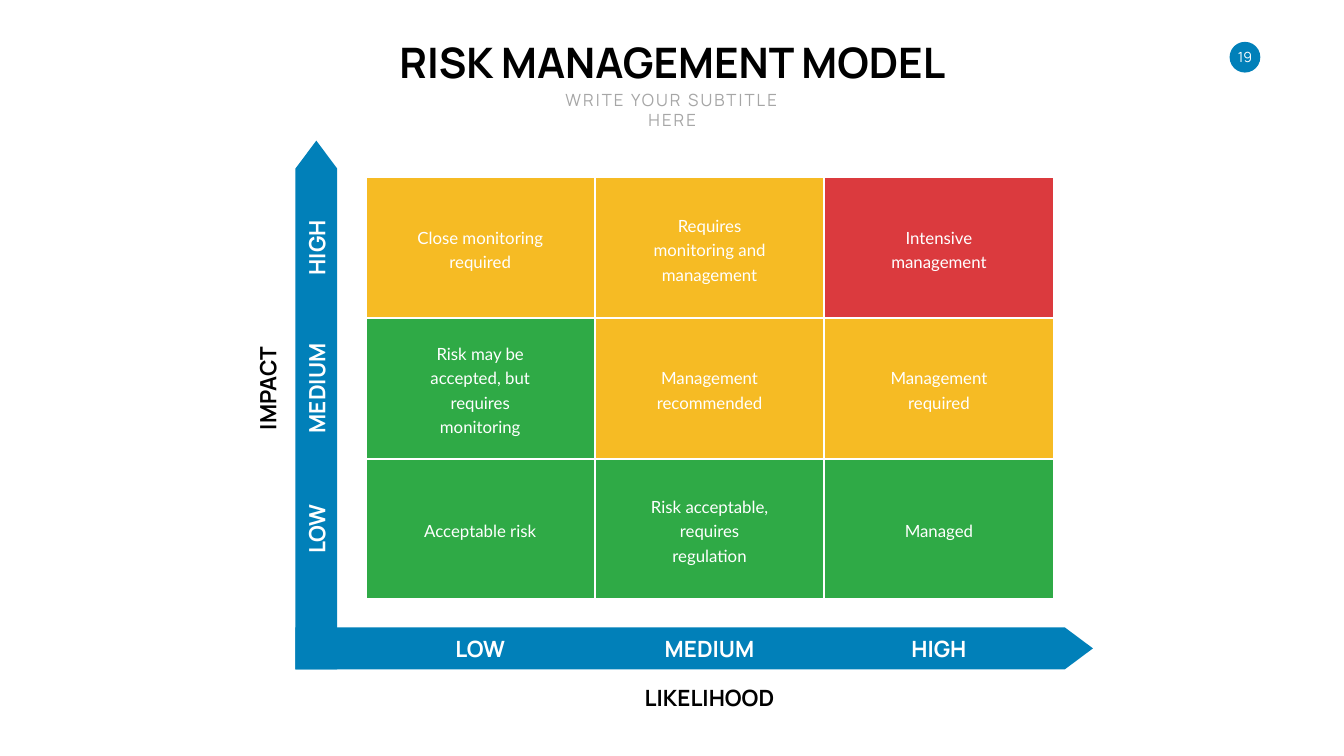
from pptx import Presentation
from pptx import util as u
from pptx.dml.color import RGBColor
from pptx.enum import shapes, text

BLUE = RGBColor(0x01, 0x80, 0xB9)
AMBER = RGBColor(0xF6, 0xBB, 0x24)
RED = RGBColor(0xDB, 0x3A, 0x3E)
GREEN = RGBColor(0x2F, 0xAA, 0x46)
GREY = RGBColor(0xA6, 0xA6, 0xA6)
WHITE = RGBColor(0xFF, 0xFF, 0xFF)
BLACK = RGBColor(0, 0, 0)

TITLE = "RISK MANAGEMENT MODEL"
SUBTITLE = "WRITE YOUR SUBTITLE HERE"
PAGE = "19"
LEVELS = [("LOW", 1.24), ("MEDIUM", 2.04), ("HIGH", 1.33)]  # label, width
LIKELIHOOD = ("LIKELIHOOD", 2.81)
IMPACT = ("IMPACT", 1.97)
# Rows run from high to low impact, columns from low to high likelihood
RISKS = [
    [("Close monitoring required", AMBER),
     ("Requires monitoring and management", AMBER),
     ("Intensive management", RED)],
    [("Risk may be accepted, but requires monitoring", GREEN),
     ("Management recommended", AMBER),
     ("Management required", AMBER)],
    [("Acceptable risk", GREEN),
     ("Risk acceptable, requires regulation", GREEN),
     ("Managed", GREEN)],
]

SLIDE_W, SLIDE_H = 26.66, 15
GRID_X, GRID_Y = 7.25, 3.52
CELL_W, CELL_H = 4.55, 2.79
CELL_INSET = 0.97
AXIS_X, AXIS_BOTTOM, AXIS_THICK = 5.86, 13.28, 0.83
LIKELIHOOD_LENGTH, IMPACT_LENGTH = 15.82, 10.49
LABEL_H = 0.64

CELL_FONT = {"name": "Lato", "size": u.Pt(24), "bold": False}
LABEL_FONT = {"name": "Manrope", "size": u.Pt(32), "bold": True}
TITLE_FONT = {"name": "Manrope", "size": u.Pt(60), "bold": True}
SUBTITLE_FONT = {"name": "Manrope", "size": u.Pt(24), "bold": False}
PAGE_FONT = {"name": "Manrope", "size": u.Pt(20), "bold": False}


def place(shape, left, top, width, height):
    box = {"left": left, "top": top, "width": width, "height": height}
    for side, inches in box.items():
        setattr(shape, side, u.Inches(inches))


def write(shape, wording, font, color, anchor=text.MSO_ANCHOR.MIDDLE,
          wrap=True, inset=0.1, leading=None):
    frame = shape.text_frame
    frame.text = wording
    layout = {"word_wrap": wrap, "vertical_anchor": anchor,
              "auto_size": text.MSO_AUTO_SIZE.NONE,
              "margin_left": u.Inches(inset), "margin_right": u.Inches(inset)}
    for key, value in layout.items():
        setattr(frame, key, value)
    paragraph = frame.paragraphs[0]
    paragraph.alignment = text.PP_ALIGN.CENTER
    paragraph.space_before = u.Pt(0)
    if leading:
        paragraph.line_spacing = u.Pt(leading)
    run = paragraph.runs[0]
    for key, value in font.items():
        setattr(run.font, key, value)
    run.font.color.rgb = color
    return run


def add_block(slide, kind, box, fill):
    block = slide.shapes.add_shape(kind, *(u.Inches(side) for side in box))
    block.shadow.inherit = False
    block.fill.solid()
    block.fill.fore_color.rgb = fill
    block.line.fill.background()
    return block


def add_axis(slide, center_x, center_y, length, rotation=0):
    box = (center_x - length / 2, center_y - AXIS_THICK / 2, length, AXIS_THICK)
    arrow = add_block(slide, shapes.MSO_SHAPE.RIGHT_ARROW, box, BLUE)
    arrow.adjustments[0], arrow.adjustments[1] = 1, 0.67
    arrow.rotation = rotation


def add_label(slide, label, center_x, center_y, color, rotation=0):
    wording, width = label
    box = (center_x - width / 2, center_y - LABEL_H / 2, width, LABEL_H)
    caption = slide.shapes.add_textbox(*(u.Inches(side) for side in box))
    caption.rotation = rotation
    write(caption, wording, LABEL_FONT, color, wrap=False)


def add_heading(slide):
    title, subtitle = slide.shapes.title, slide.placeholders[1]
    place(title, 7.6, 0.67, 11.47, 1.11)
    write(title, TITLE, TITLE_FONT, BLACK, text.MSO_ANCHOR.TOP)
    place(subtitle, 10.62, 1.72, 5.43, 0.5)
    run = write(subtitle, SUBTITLE, SUBTITLE_FONT, GREY, text.MSO_ANCHOR.TOP)
    run.font._element.set("spc", "300")
    badge = add_block(slide, shapes.MSO_SHAPE.OVAL, (24.39, 0.83, 0.61, 0.61), BLUE)
    write(badge, PAGE, PAGE_FONT, WHITE, wrap=False, inset=0)


def add_matrix(slide):
    for row, risks in enumerate(RISKS):
        for column, (wording, fill) in enumerate(risks):
            box = (GRID_X + column * CELL_W, GRID_Y + row * CELL_H, CELL_W, CELL_H)
            cell = add_block(slide, shapes.MSO_SHAPE.RECTANGLE, box, fill)
            cell.line.color.rgb = WHITE
            cell.line.width = u.Pt(3)
            write(cell, wording, CELL_FONT, WHITE, inset=CELL_INSET, leading=35)


def add_axes(slide):
    likelihood_y = AXIS_BOTTOM - AXIS_THICK / 2
    impact_x = AXIS_X + AXIS_THICK / 2
    add_axis(slide, AXIS_X + LIKELIHOOD_LENGTH / 2, likelihood_y, LIKELIHOOD_LENGTH)
    add_axis(slide, impact_x, AXIS_BOTTOM - IMPACT_LENGTH / 2, IMPACT_LENGTH, 270)
    for step, level in enumerate(LEVELS):
        column_x = GRID_X + (step + 0.5) * CELL_W
        row_y = GRID_Y + (len(LEVELS) - step - 0.5) * CELL_H
        add_label(slide, level, column_x, likelihood_y, WHITE)
        add_label(slide, level, impact_x, row_y, WHITE, 270)
    add_label(slide, LIKELIHOOD, GRID_X + 1.5 * CELL_W, likelihood_y + 0.97, BLACK)
    add_label(slide, IMPACT, impact_x - 0.97, GRID_Y + 1.5 * CELL_H, BLACK, 270)


def main():
    deck = Presentation()
    deck.slide_width, deck.slide_height = u.Inches(SLIDE_W), u.Inches(SLIDE_H)
    slide = deck.slides.add_slide(deck.slide_layouts[0])
    add_heading(slide)
    add_matrix(slide)
    add_axes(slide)
    deck.save("out.pptx")


if __name__ == "__main__":
    main()
